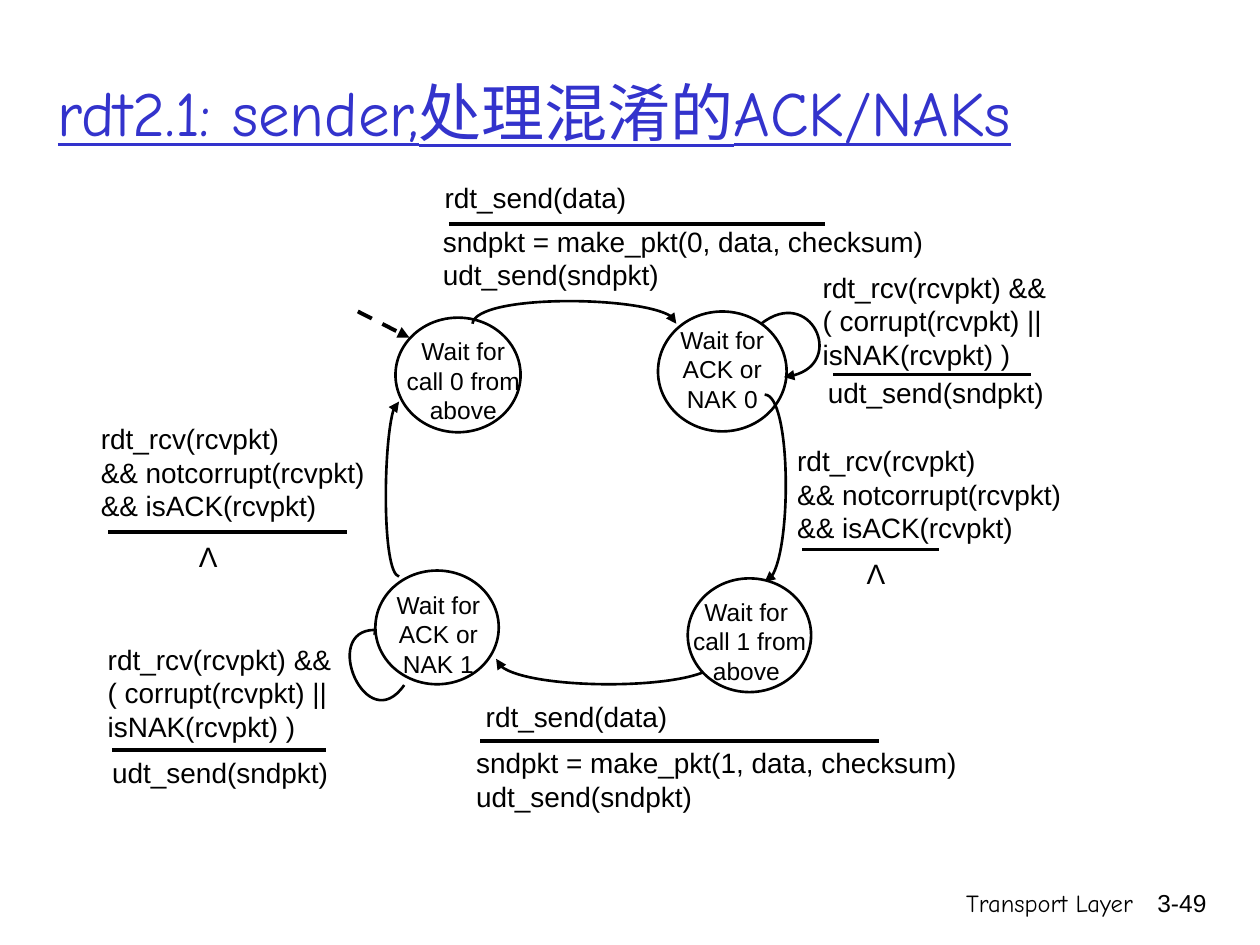
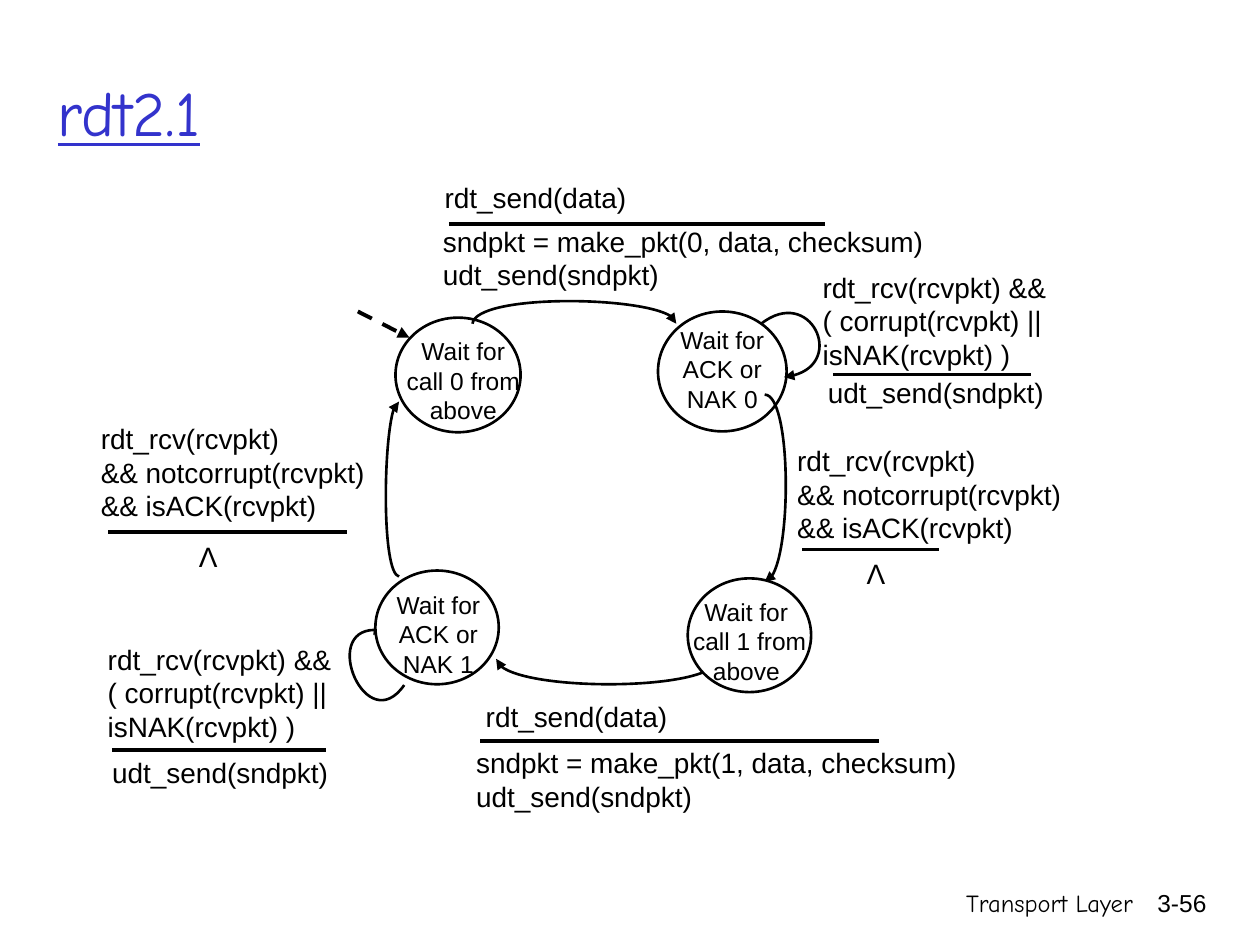
from lxml import etree
from pptx import Presentation
from pptx.dml.color import RGBColor
from pptx.enum.dml import MSO_LINE_DASH_STYLE as Dash
from pptx.enum.shapes import MSO_CONNECTOR as Connector, MSO_SHAPE as Shape
from pptx.enum.text import MSO_ANCHOR as Anchor, PP_ALIGN as Align
from pptx.oxml.ns import qn
from pptx.util import Pt

BLACK = RGBColor(0x00, 0x00, 0x00)
WHITE = RGBColor(0xFF, 0xFF, 0xFF)
TITLE_BLUE = RGBColor(0x33, 0x33, 0xCC)
BODY_FONT = "Arial"
TITLE_FONT = "Comic Neue"
CODE_SIZE = 16
SMALL_SIZE = 14
CURVE_WIDTH = 1.5
RULE_WIDTH = 2.25

SLIDES = [
    ("rdt2.1: sender,处理混淆的ACK/NAKs", "3-49"),
    ("rdt2.1", "3-56"),
]

# Ellipse box, label box, label lines
UPPER_STATES = [
    ((226, 181.5, 71.5, 65.5), (222, 188.5, 85.5, 48), ["Wait for call 0 from above"]),
    ((376, 178, 73.5, 68.5), (370, 182, 85.5, 51), ["Wait for ACK or NAK 0"]),
]
LOWER_STATES = [
    ((393, 330.5, 70.5, 65), (382.5, 337.5, 88, 48), ["Wait for", " call 1 from above"]),
    ((214.5, 326, 70.5, 65), (209.5, 333.5, 82, 48), ["Wait for ACK or NAK 1"]),
]

# Start, two control points, end
TRANSITION_CURVES = [
    [(270, 185), (272, 168), (386.5, 169), (386.5, 185)],
    [(437, 225.5), (452, 225.5), (453, 330), (437, 332.5)],
    [(410, 376.5), (410, 394.5), (286, 396), (283.5, 376.5)],
    [(228, 329.5), (218, 327.5), (219, 229.5), (228, 229.5)],
    [(435, 185), (463, 163), (486, 211.5), (448, 215.5)],
    [(231, 391.5), (209.5, 422.5), (180, 353.5), (219.5, 360.5)],
]

RECEIVE_ACK = ["rdt_rcv(rcvpkt)", "&& notcorrupt(rcvpkt)", "&& isACK(rcvpkt)"]
RECEIVE_BAD = ["rdt_rcv(rcvpkt) &&", "( corrupt(rcvpkt) ||", "isNAK(rcvpkt) )"]
SEND_DATA = ["rdt_send(data)"]
RESEND = ["udt_send(sndpkt)"]


def send_packet(number):
    return [f"sndpkt = make_pkt({number}, data, checksum)"] + RESEND


# Event box and lines, rule (left, right, height), action box and lines
TRANSITION_LABELS = [
    ((247, 99.5, 166, 24), SEND_DATA, (256.5, 471.5, 128), (246, 124.5, 291, 32), send_packet(0)),
    ((463, 151, 201.5, 45), RECEIVE_BAD, (476, 589, 214), (466, 211, 178, 32), RESEND),
    ((448.5, 250, 236, 45), RECEIVE_ACK, (458.5, 536.5, 314), None, None),
    ((270.5, 396, 188, 22), SEND_DATA, (274.5, 502.5, 423.5), (265, 422.5, 297, 32), send_packet(1)),
    ((54.5, 363.5, 158.5, 45), RECEIVE_BAD, (64, 186.5, 428.5), (57, 428, 143, 22), RESEND),
    ((50.5, 237.5, 166, 45), RECEIVE_ACK, (62, 198.5, 304), None, None),
]
NO_ACTION_MARKS = [(488, 314.5, 25, 26.5), (106.5, 304.5, 25, 26.5)]


def points(values):
    return [Pt(value) for value in values]


def add_text(shapes, box, lines, size=CODE_SIZE, font=BODY_FONT, color=BLACK,
             align=Align.LEFT, anchor=Anchor.TOP, underline=False, wrap=True):
    text_box = shapes.add_textbox(*points(box))
    frame = text_box.text_frame
    frame.word_wrap = wrap
    frame.vertical_anchor = anchor
    for index, line in enumerate(lines):
        paragraph = frame.paragraphs[0] if index == 0 else frame.add_paragraph()
        paragraph.alignment = align
        run = paragraph.add_run()
        run.text = line
        run.font.name = font
        run.font.size = Pt(size)
        run.font.color.rgb = color
        run.font.underline = underline
    return text_box


def style_line(shape, width, arrow=False):
    shape.line.color.rgb = BLACK
    shape.line.width = Pt(width)
    if arrow:
        etree.SubElement(shape.line._get_or_add_ln(), qn("a:tailEnd"), type="triangle")


def add_line(shapes, start, end, dashed_arrow=False):
    line = shapes.add_connector(Connector.STRAIGHT, *points(start + end))
    if dashed_arrow:
        line.line.dash_style = Dash.DASH
    style_line(line, RULE_WIDTH, dashed_arrow)
    etree.SubElement(line._element.spPr, qn("a:effectLst"))


def add_curve(shapes, start, *others):
    """Draw one Bezier arrow: the outline's three segments become its control points."""
    builder = shapes.build_freeform(*points(start))
    builder.add_line_segments([points(point) for point in others], close=False)
    curve = builder.convert_to_shape()
    curve.shadow.inherit = False
    curve.fill.background()
    style_line(curve, CURVE_WIDTH, arrow=True)
    segments = list(curve._element.iter(qn("a:lnTo")))
    bezier = etree.SubElement(segments[0].getparent(), qn("a:cubicBezTo"))
    for segment in segments:
        bezier.append(segment[0])
        segment.getparent().remove(segment)


def add_state(shapes, oval_box, label_box, lines):
    group = shapes.add_group_shape()
    oval = group.shapes.add_shape(Shape.OVAL, *points(oval_box))
    oval.shadow.inherit = False
    oval.fill.solid()
    oval.fill.fore_color.rgb = WHITE
    style_line(oval, CURVE_WIDTH)
    add_text(group.shapes, label_box, lines, SMALL_SIZE, align=Align.CENTER)


def add_transition_label(shapes, event_box, event, rule, action_box, action):
    add_text(shapes, event_box, event)
    left, right, height = rule
    add_line(shapes, (left, height), (right, height))
    if action:
        add_text(shapes, action_box, action)


def add_title_and_footer(shapes, title, number):
    add_text(shapes, (426, 504, 228.5, 36), ["Transport Layer"], SMALL_SIZE, TITLE_FONT,
             align=Align.RIGHT)
    add_text(shapes, (643, 504, 53.5, 36), [number], SMALL_SIZE, align=Align.RIGHT)
    add_text(shapes, (26, 18.5, 651.5, 90), [title], 36, TITLE_FONT, TITLE_BLUE,
             anchor=Anchor.MIDDLE, underline=True)


def add_sender_machine(shapes):
    for state in UPPER_STATES:
        add_state(shapes, *state)
    add_line(shapes, (204.5, 178), (234, 193), dashed_arrow=True)
    for curve in TRANSITION_CURVES:
        add_curve(shapes, *curve)
    for label in TRANSITION_LABELS:
        add_transition_label(shapes, *label)
    for box in NO_ACTION_MARKS:
        add_text(shapes, box, ["Λ"], align=Align.CENTER, wrap=False)
    for state in LOWER_STATES:
        add_state(shapes, *state)


def main():
    presentation = Presentation()
    presentation.slide_width = Pt(720)
    presentation.slide_height = Pt(540)
    for title, number in SLIDES:
        slide = presentation.slides.add_slide(presentation.slide_layouts[6])
        add_title_and_footer(slide.shapes, title, number)
        add_sender_machine(slide.shapes)
    presentation.save("out.pptx")


if __name__ == "__main__":
    main()
